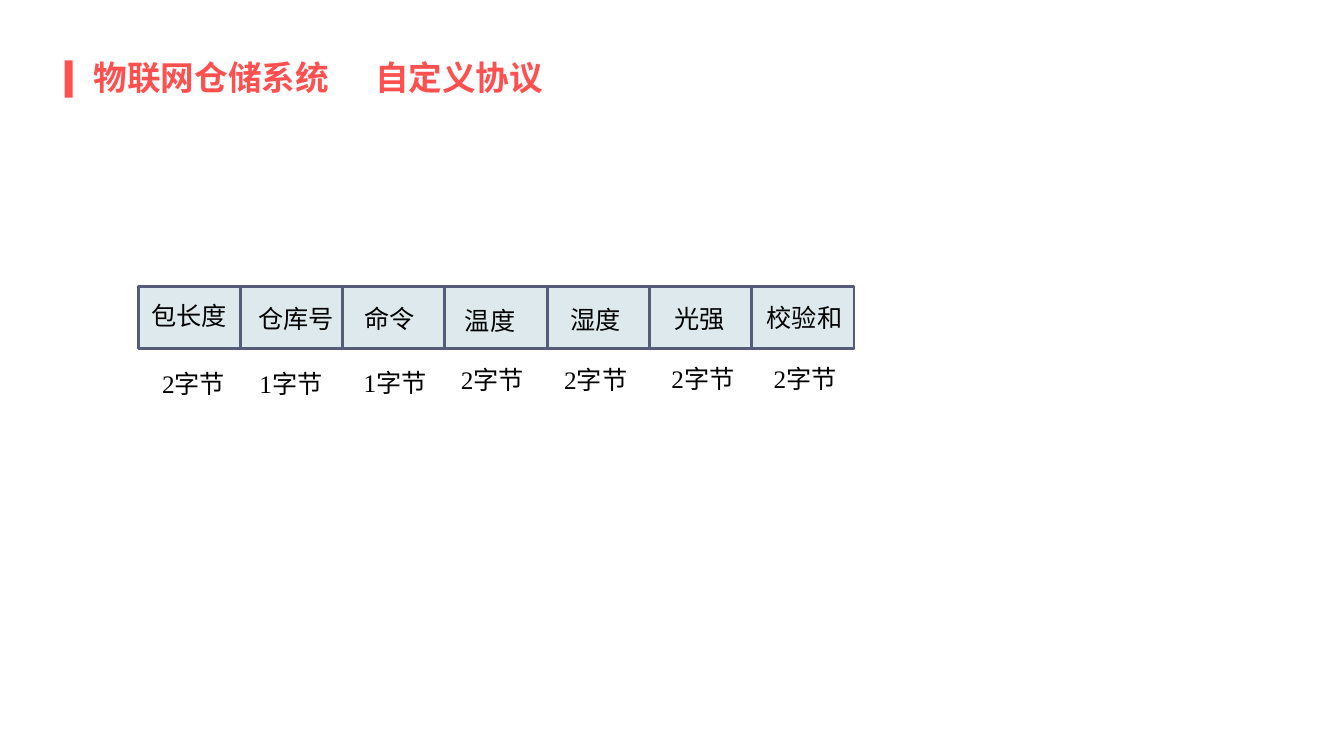
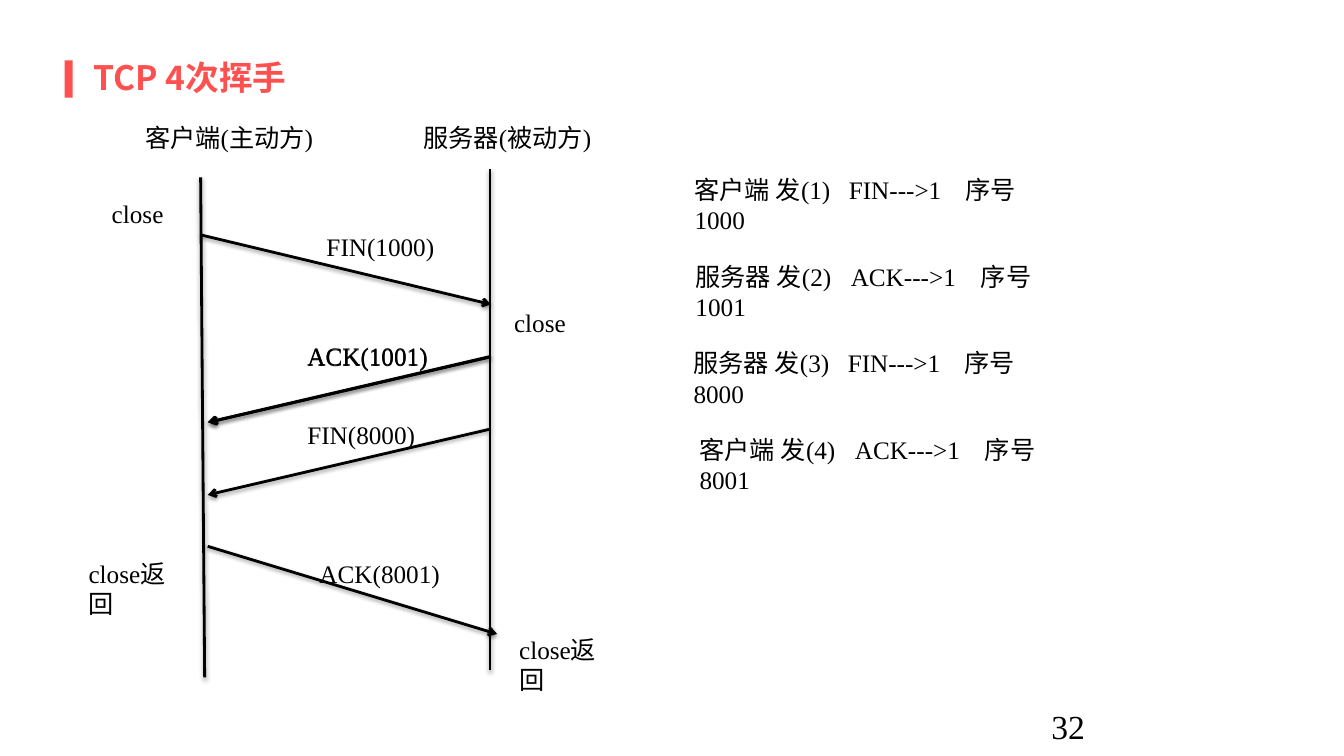
from dataclasses import dataclass
from lxml.etree import SubElement
from pptx import Presentation
from pptx.dml.color import RGBColor
from pptx.enum.shapes import MSO_CONNECTOR, MSO_SHAPE
from pptx.enum.text import MSO_ANCHOR, MSO_AUTO_SIZE, PP_ALIGN
from pptx.oxml.ns import qn
from pptx.util import Inches, Pt


@dataclass(frozen=True)
class Theme:
    red: RGBColor = RGBColor(0xFF, 0x50, 0x50)
    ink: RGBColor = RGBColor(0, 0, 0)
    cell: RGBColor = RGBColor(0xDD, 0xE9, 0xEC)
    edge: RGBColor = RGBColor(0x54, 0x5C, 0x79)
    head: str = "Noto Sans CJK SC"
    body: str = "Times New Roman"
    large: int = 24
    small: int = 18
    lead: float = 21.6
    line: int = 2


THEME = Theme()
HEAD = {"name": THEME.head, "size": Pt(THEME.large), "bold": True}
BODY = {"name": THEME.body, "size": Pt(THEME.small), "bold": False}
PAGE = {**BODY, "size": Pt(THEME.large)}


# Shared helpers
def apply(item, values):
    for name, value in values.items():
        setattr(item, name, value)


def write(frame, words, look, color, tabs=()):
    para = frame.paragraphs[0]
    para.alignment = PP_ALIGN.LEFT
    # Chinese body text keeps the tight pitch of the Latin face
    if look is BODY and not words.isascii():
        para.line_spacing = Pt(THEME.lead)
    if tabs:
        stops = SubElement(para._p.get_or_add_pPr(), qn("a:tabLst"))
        for stop in tabs:
            SubElement(stops, qn("a:tab"), pos=str(Inches(stop)), algn="l")
    run = para.add_run()
    run.text = words
    apply(run.font, look)
    run.font.color.rgb = color
    SubElement(run._r.get_or_add_rPr(), qn("a:ea"), typeface=THEME.head)


def label(slide, x, y, width, words, wrap=False, look=BODY, tabs=()):
    box = slide.shapes.add_textbox(
        Inches(x), Inches(y), Inches(width), Inches(0.4))
    apply(box.text_frame, {
        "word_wrap": wrap, "auto_size": MSO_AUTO_SIZE.SHAPE_TO_FIT_TEXT})
    write(box.text_frame, words, look, THEME.ink, tabs)


def block(slide, x, y, width, height, fill, edge=None):
    shape = slide.shapes.add_shape(
        MSO_SHAPE.RECTANGLE,
        Inches(x), Inches(y), Inches(width), Inches(height))
    shape.shadow.inherit = False
    shape.fill.solid()
    shape.fill.fore_color.rgb = fill
    if edge is None:
        shape.line.fill.background()
    else:
        shape.line.color.rgb = edge
        shape.line.width = Pt(THEME.line)
    return shape


def stroke(slide, x1, y1, x2, y2, arrow=False):
    line = slide.shapes.add_connector(
        MSO_CONNECTOR.STRAIGHT,
        Inches(x1), Inches(y1), Inches(x2), Inches(y2))
    line.line.color.rgb = THEME.ink
    line.line.width = Pt(THEME.line)
    if arrow:
        SubElement(line.line._get_or_add_ln(), qn("a:tailEnd"), type="arrow")
    # Soft shadow straight below the line
    effect = SubElement(line.element.spPr, qn("a:effectLst"))
    shade = SubElement(
        effect, qn("a:outerShdw"), blurRad=str(Pt(3.1)), dist=str(Pt(1.6)),
        dir="5400000", rotWithShape="0")
    tone = SubElement(shade, qn("a:srgbClr"), val=str(THEME.ink))
    SubElement(tone, qn("a:alpha"), val="38000")


def start(deck, words, tabs=()):
    slide = deck.slides.add_slide(deck.slide_layouts[5])
    title = slide.shapes.title
    apply(title, {"left": Inches(0.83), "top": Inches(0.51),
                  "width": Inches(11.68), "height": Inches(0.46)})
    apply(title.text_frame, {
        "word_wrap": True, "auto_size": MSO_AUTO_SIZE.NONE,
        "vertical_anchor": MSO_ANCHOR.MIDDLE, "margin_top": Inches(0.09)})
    write(title.text_frame, words, HEAD, THEME.red, tabs)
    return slide


# Packet layout: a row of fields, each with its size below
def packet(slide, left, top, width, height):
    # name, name offset, size, size offset
    fields = [
        ("包长度", 0.03, 0.09, "2字节", 0.14, 0.76),
        ("仓库号", 0.08, 0.12, "1字节", 0.09, 0.76),
        ("命令", 0.12, 0.12, "1字节", 0.11, 0.75),
        ("温度", 0.10, 0.14, "2字节", 0.06, 0.73),
        ("湿度", 0.13, 0.13, "2字节", 0.07, 0.73),
        ("光强", 0.15, 0.12, "2字节", 0.12, 0.72),
        ("校验和", 0.05, 0.11, "2字节", 0.12, 0.72),
    ]
    step = width / len(fields)
    for i, (name, nx, ny, size, sx, sy) in enumerate(fields):
        x = left + i * step
        block(slide, x, top, step, height, THEME.cell, THEME.edge)
        label(slide, x + nx, top + ny, 0.23 + 0.25 * len(name), name)
        label(slide, x + sx, top + sy, 0.85, size, wrap=True)


# Sequence chart: two life lines, the messages and the calls
def sequence(slide, left, top):
    for x1, y1, x2, y2 in [(0.99, 0.76, 1.03, 5.72),
                           (3.86, 0.68, 3.86, 5.65)]:
        stroke(slide, left + x1, top + y1, left + x2, top + y2)

    for x, width, words in [(0.34, 1.89, "客户端(主动方)"),
                            (3.1, 1.97, "服务器(被动方)")]:
        label(slide, left + x, top + 0.16, width, words, wrap=True)

    # arrow ends, label place, label
    sends = [
        (0.99, 1.33, 3.87, 2.02, 2.14, 1.25, "FIN(1000)"),
        (3.85, 2.54, 1.06, 3.19, 1.95, 2.34, "ACK(1001)"),
        (1.06, 4.42, 3.93, 5.29, 2.07, 4.49, "ACK(8001)"),
        (3.87, 2.54, 1.07, 3.19, 1.95, 2.33, "ACK(1001)"),
        (3.85, 3.26, 1.06, 3.91, 1.95, 3.11, "FIN(8000)"),
    ]
    for x1, y1, x2, y2, x, y, words in sends:
        stroke(slide, left + x1, top + y1, left + x2, top + y2, arrow=True)
        width = 1.45 if words.startswith("ACK") else 1.33
        label(slide, left + x, top + y, width, words)

    calls = [
        (0.01, 0.92, 0.77, "close"), (-0.22, 4.49, 1.21, "close返回"),
        (4.05, 5.24, 1.21, "close返回"), (4, 2, 0.77, "close"),
    ]
    for x, y, width, words in calls:
        label(slide, left + x, top + y, width, words, wrap="返回" in words)


# Message list: one row for each step
def steps(slide, left, top, gap):
    rows = [
        (0, "客户端", "FIN", 1000), (0.01, "服务器", "ACK", 1001),
        (-0.01, "服务器", "FIN", 8000), (0.05, "客户端", "ACK", 8001),
    ]
    form = {"FIN": (3.79, (1.53, 2.69)), "ACK": (3.9, (1.54, 2.83))}
    for i, (shift, side, flag, number) in enumerate(rows):
        width, tabs = form[flag]
        words = f"{side} 发({i + 1})\t{flag}--->1\t序号{number}"
        label(slide, left + shift, top + i * gap, width, words,
              wrap=True, tabs=tabs)


def main():
    deck = Presentation()
    apply(deck, {"slide_width": Inches(13.33), "slide_height": Inches(7.5)})

    # Custom protocol
    slide = start(deck, "物联网仓储系统\t自定义协议", tabs=(2.79,))
    packet(slide, 1.37, 2.84, 7.1, 0.62)

    # The title mark belongs to the shared layout
    mark = block(slide, 0.64, 0.6, 0.08, 0.37, THEME.red)
    slide.slide_layout.shapes.element.append(mark.element)

    # Closing a connection
    slide = start(deck, "TCP 4次挥手")
    sequence(slide, 1, 1)
    steps(slide, 6.79, 1.68, 0.86)
    label(slide, 10.33, 6.95, 3, "32", wrap=True, look=PAGE)

    deck.save("out.pptx")


if __name__ == "__main__":
    main()
